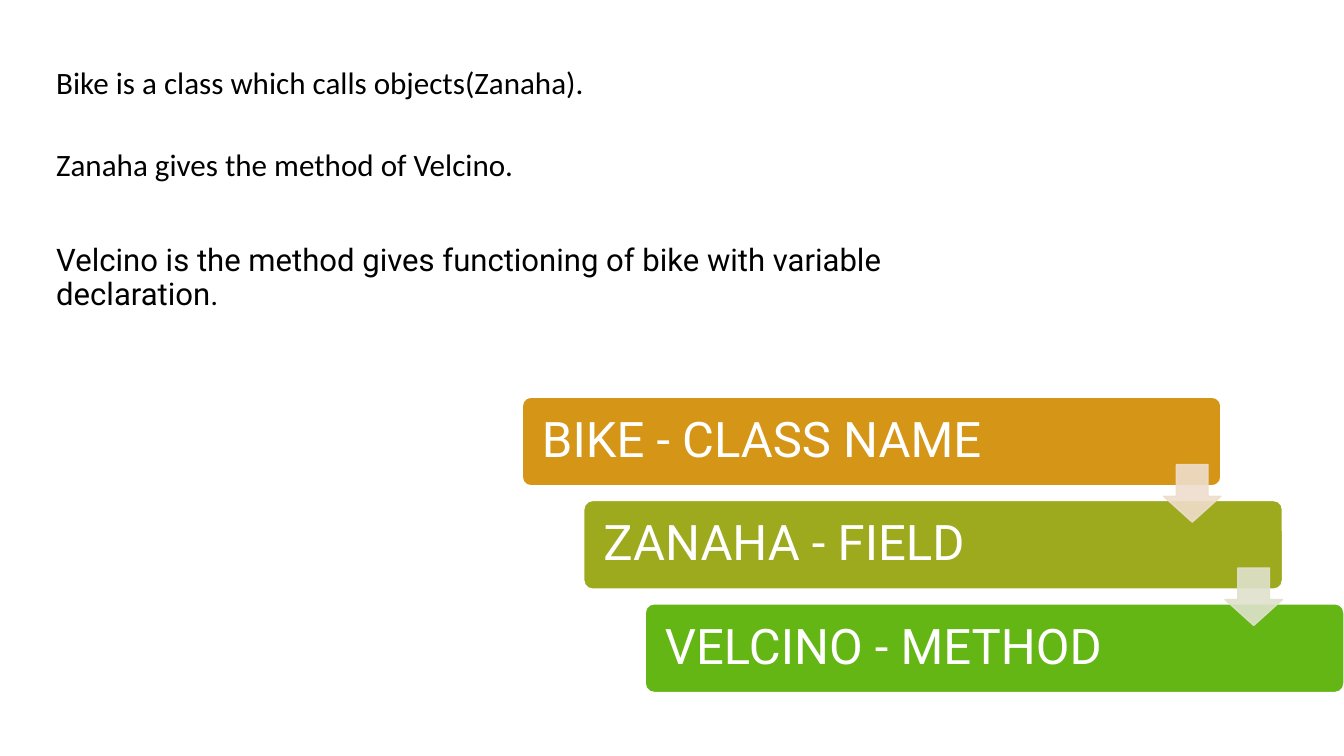
from dataclasses import dataclass
from lxml.etree import SubElement
from pptx import Presentation
from pptx.dml.color import RGBColor
from pptx.enum.shapes import MSO_SHAPE
from pptx.enum.text import MSO_ANCHOR, PP_ALIGN
from pptx.oxml.ns import qn
from pptx.util import Inches, Pt


@dataclass(frozen=True)
class Theme:
    white: str = "FFFFFF"
    text: str = "000000"
    steps: tuple = ("D59617", "9EAA1E", "64B614")
    arrows: tuple = ("EFDDCC", "DFE2CD")
    arrow_alpha: int = 90
    body_size: float = 22.2
    step_size: float = 35
    body_font: str = "Calibri"
    step_font: str = "Roboto"


THEME = Theme()

# Text, font, space before in points
STATEMENTS = [
    ("Bike is a class which calls objects(Zanaha).", THEME.body_font, 0),
    ("Zanaha gives the method of\u00a0Velcino.", THEME.body_font, 34.4),
    ("Velcino is the method gives functioning of bike with variable declaration.",
     THEME.step_font, 44.4),
]
STEPS = ["BIKE - CLASS NAME", "ZANAHA - FIELD", "VELCINO - METHOD"]


def add_box(slide, kind, box, fill, line=None, adjustments=()):
    s = slide.shapes.add_shape(kind, *(Inches(v) for v in box))
    s.shadow.inherit = False
    s.fill.solid()
    s.fill.fore_color.rgb = RGBColor.from_string(fill)
    if line:
        s.line.color.rgb = RGBColor.from_string(line)
        s.line.width = Pt(1)
    else:
        s.line.fill.background()
    for i, value in enumerate(adjustments):
        s.adjustments[i] = value
    return s


def write(p, text, font, size, color, space_before=0):
    layout = {"alignment": PP_ALIGN.LEFT, "line_spacing": 0.9,
              "space_before": Pt(space_before)}
    for name, value in layout.items():
        setattr(p, name, value)
    r = p.add_run()
    r.text = text
    for name, value in {"name": font, "size": Pt(size)}.items():
        setattr(r.font, name, value)
    r.font.color.rgb = RGBColor.from_string(color)


def add_statements(slide, box):
    tf = slide.shapes.add_textbox(*(Inches(v) for v in box)).text_frame
    tf.word_wrap = True
    for i, (text, font, gap) in enumerate(STATEMENTS):
        p = tf.add_paragraph() if i else tf.paragraphs[0]
        write(p, text, font, THEME.body_size, THEME.text, gap)


def add_staircase(slide, box):
    left, top, width, height = box
    shift, bar_h, arrow = 0.61, 0.88, 0.57
    last = len(STEPS) - 1
    bar_w = width - last * shift
    pitch = (height - bar_h) / last

    # Stepped bars
    for i, (label, color) in enumerate(zip(STEPS, THEME.steps)):
        s = add_box(slide, MSO_SHAPE.ROUNDED_RECTANGLE,
                    (left + i * shift, top + i * pitch, bar_w, bar_h),
                    color, THEME.white, [0.1])
        tf = s.text_frame
        frame = {"word_wrap": True, "vertical_anchor": MSO_ANCHOR.MIDDLE,
                 "margin_left": Inches(0.17), "margin_right": Inches(0.17)}
        for name, value in frame.items():
            setattr(tf, name, value)
        write(tf.paragraphs[0], label, THEME.step_font, THEME.step_size, THEME.white)

    # Arrows from each bar's right end to the next bar
    for i, color in enumerate(THEME.arrows):
        s = add_box(slide, MSO_SHAPE.DOWN_ARROW,
                    (left + i * shift + bar_w - arrow, top + i * pitch + 0.67, arrow, arrow),
                    color, color, [0.55, 0.45])
        for rgb in s._element.spPr.iter(qn("a:srgbClr")):
            SubElement(rgb, qn("a:alpha"), val=str(THEME.arrow_alpha * 1000))


def main():
    prs = Presentation()
    prs.slide_width, prs.slide_height = Inches(13.33), Inches(7.5)
    slide = prs.slides.add_slide(prs.slide_layouts[6])

    # Upper panel behind the statements
    add_box(slide, MSO_SHAPE.RECTANGLE, (0, 0, 13.33, 3.9), THEME.white)
    add_statements(slide, (0.46, 0.62, 10.03, 2.24))
    add_staircase(slide, (5.18, 3.94, 8.15, 2.93))
    prs.save("out.pptx")


if __name__ == "__main__":
    main()
